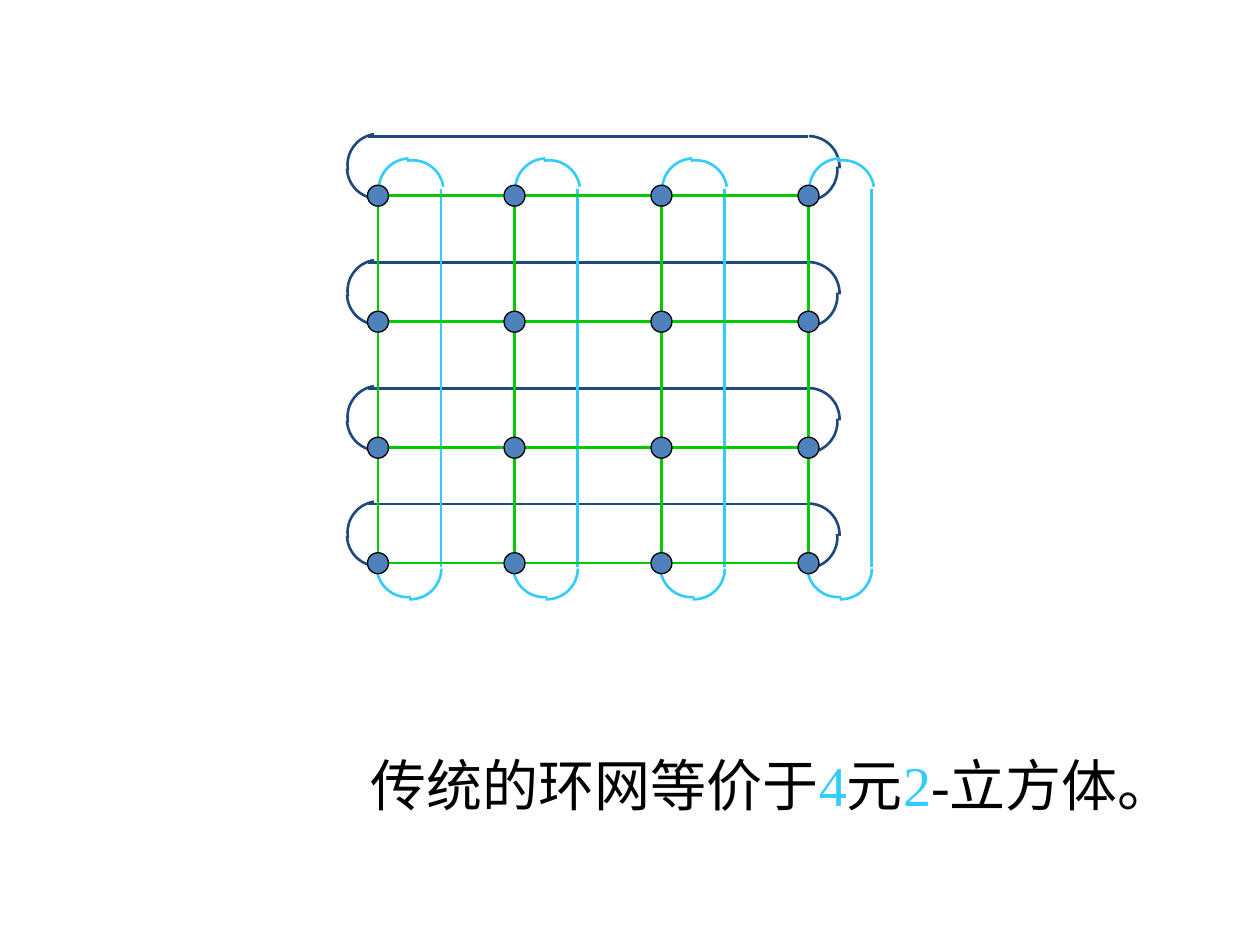
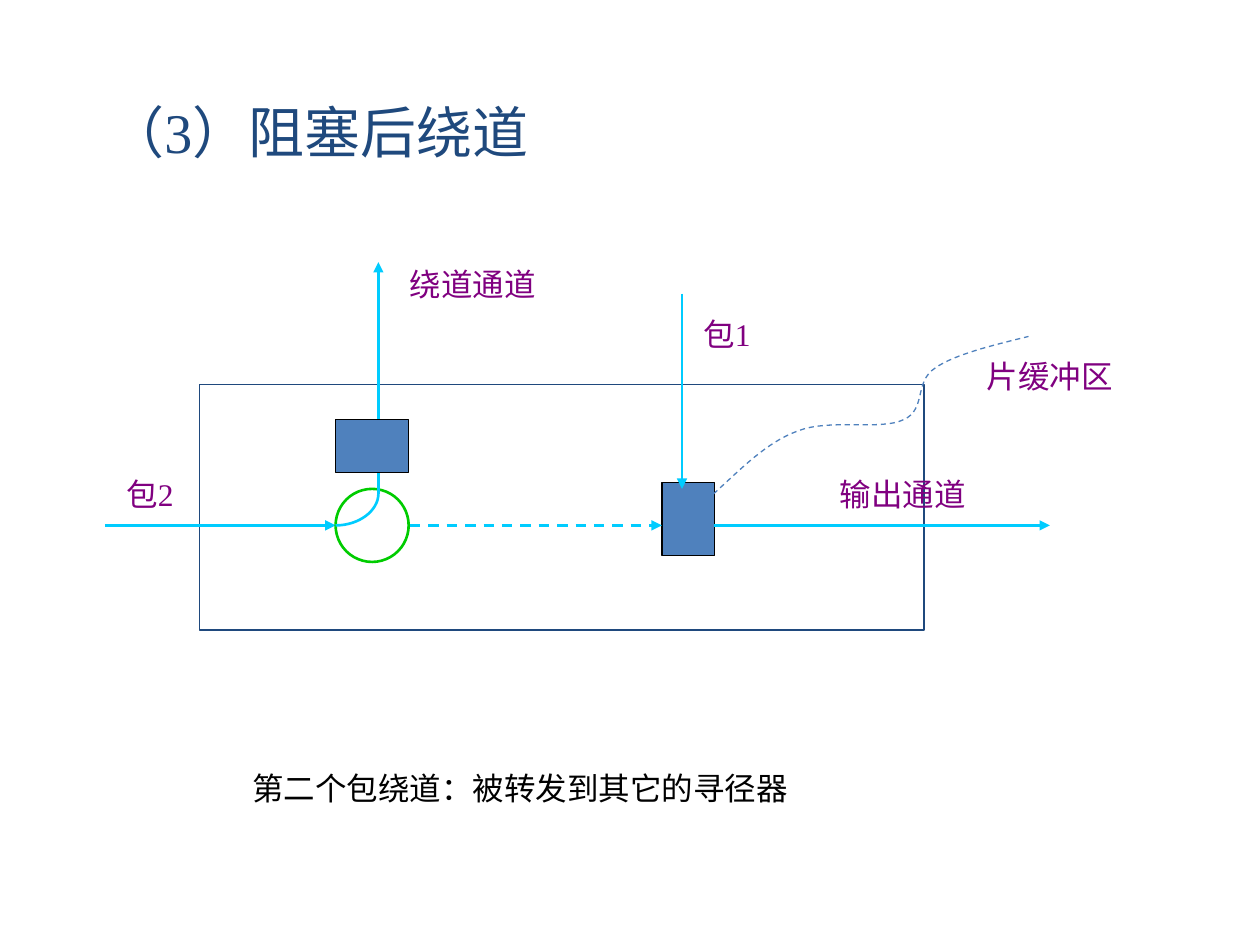
from lxml import etree
from pptx import Presentation
from pptx.dml.color import RGBColor
from pptx.enum.dml import MSO_LINE_DASH_STYLE as Dash
from pptx.enum.shapes import MSO_CONNECTOR as Connector, MSO_SHAPE as Shape
from pptx.enum.text import MSO_ANCHOR as Anchor, MSO_AUTO_SIZE as AutoSize, PP_ALIGN as Align
from pptx.oxml.ns import qn
from pptx.util import Inches, Pt

FONT = "Times New Roman"
NAVY, SKY, CYAN, GREEN = "1F497D", "33CCFF", "00CCFF", "00CC00"
BLUE, PURPLE, BLACK = "4F81BD", "800080", "000000"


def colour(hex_string):
    return RGBColor.from_string(hex_string)


def set_line(line, hex_string, width, dash=None):
    line.color.rgb = colour(hex_string)
    line.width = Pt(width)
    if dash:
        line.dash_style = dash


def write_text(shape, *runs, size=18, color=BLACK, margin=0, indent=0, inset=0):
    """Fill a shape with one paragraph; a run is a text or a (text, colour) pair."""
    frame = shape.text_frame
    frame.word_wrap = True
    frame.auto_size = AutoSize.NONE
    frame.vertical_anchor = Anchor.TOP
    frame.margin_left = frame.margin_right = Inches(inset)
    frame.margin_top = frame.margin_bottom = Inches(inset / 2)
    paragraph = frame.paragraphs[0]
    paragraph.alignment = Align.LEFT
    paragraph.space_before = Pt(0)
    properties = paragraph._p.get_or_add_pPr()
    properties.set("marL", str(Inches(margin)))
    properties.set("indent", str(Inches(indent)))
    etree.SubElement(properties, qn("a:buNone"))
    for item in runs:
        text, run_color = item if isinstance(item, tuple) else (item, color)
        run = paragraph.add_run()
        run.text = text
        run.font.name = FONT
        run.font.size = Pt(size)
        run.font.color.rgb = colour(run_color)


def place(shape, left, top, width, height):
    shape.left, shape.top = Inches(left), Inches(top)
    shape.width, shape.height = Inches(width), Inches(height)


def add_line(slide, start, end, color, dash=None, arrow=False):
    connector = slide.shapes.add_connector(
        Connector.STRAIGHT, *(Inches(value) for value in (*start, *end)))
    set_line(connector.line, color, 1.5, dash)
    etree.SubElement(connector._element.spPr, qn("a:effectLst"))
    if arrow:
        line_end = etree.SubElement(connector.line._get_or_add_ln(), qn("a:tailEnd"))
        line_end.set("type", "triangle")


def add_figure(slide, kind, left, top, width, height, fill=None, color=BLACK, line_width=0.75):
    shape = slide.shapes.add_shape(
        kind, *(Inches(value) for value in (left, top, width, height)))
    shape.shadow.inherit = False
    if fill:
        shape.fill.solid()
        shape.fill.fore_color.rgb = colour(fill)
    else:
        shape.fill.background()
    set_line(shape.line, color, line_width)


def add_curve(slide, start, segments, color, width, dash=None, rotation=0, steps=16):
    """Draw joined cubic curves, each given by two handles and an end point."""
    points = []
    origin = start
    for first, second, end in segments:
        for step in range(1, steps + 1):
            t = step / steps
            weights = ((1 - t) ** 3, 3 * t * (1 - t) ** 2, 3 * t * t * (1 - t), t ** 3)
            points.append(tuple(
                Inches(sum(weight * value for weight, value in zip(weights, axis)))
                for axis in zip(origin, first, second, end)))
        origin = end
    builder = slide.shapes.build_freeform(Inches(start[0]), Inches(start[1]))
    builder.add_line_segments(points, close=False)
    shape = builder.convert_to_shape()
    shape.shadow.inherit = False
    shape.rotation = rotation
    shape.fill.background()
    set_line(shape.line, color, width, dash)


def add_label(slide, text, left, top, width, color=PURPLE):
    box = slide.shapes.add_textbox(Inches(left), Inches(top), Inches(width), Inches(0.4))
    write_text(box, text, color=color)


# Torus: a mesh whose rows and columns close on themselves
def add_torus(slide, left, top):
    columns = [left + offset / 12 for offset in (0, 13, 27, 41)]
    rows = [top + offset / 12 for offset in (0, 12, 24, 35)]
    right, bottom = columns[-1], rows[-1]
    radius, handle, node = 0.25, 0.14, 1 / 6

    def add_quarters(color, quarters):
        for x, y, rotation in quarters:
            curve = ((x + handle, y), (x + radius, y + radius - handle),
                     (x + radius, y + radius))
            add_curve(slide, (x, y), [curve], color, 1.5, rotation=rotation)

    # Wraparound links of the rows
    for y in rows:
        add_quarters(NAVY, [(left - 0.24, y - 0.22, 177.1), (left - 0.26, y - 0.47, 260.6),
                            (right, y - 0.47, 1.4), (right - 0.01, y - 0.22, 84.9)])
        add_line(slide, (left - 0.08, y - 0.47), (right, y - 0.47), NAVY)

    # Wraparound links of the columns
    for x in columns:
        add_quarters(SKY, [(x, top - 0.29, 267.1), (x + 0.25, top - 0.3, 350.6),
                           (x + 0.25, bottom + 0.04, 91.4), (x, bottom + 0.03, 174.9)])
        add_line(slide, (x + 0.5, top - 0.05), (x + 0.5, bottom + 0.03), SKY)

    # Mesh links, then nodes on top
    for x in columns:
        add_line(slide, (x, top), (x, bottom), GREEN)
    for y in rows:
        add_line(slide, (left, y), (right, y), GREEN)
    for y in rows:
        for x in columns:
            add_figure(slide, Shape.OVAL, x - node / 2, y - node / 2, node, node, BLUE)


def build_torus_slide(presentation):
    slide = presentation.slides.add_slide(presentation.slide_layouts[1])
    title, body = slide.placeholders
    title._element.getparent().remove(title._element)
    add_torus(slide, 3, 1.47 + 1 / 12)
    place(body, 0.83, 5.91, 8.25, 0.58)
    write_text(body, "传统的环网等价于", ("4", SKY), "元", ("2", SKY), "-立方体。",
               size=32, margin=0.81, indent=1.2, inset=0.1)


# Router: packet 1 holds the output, packet 2 is sent round
def add_router(slide, left, top):
    def at(x, y):
        return left + x, top + y

    add_figure(slide, Shape.RECTANGLE, left, top, 5.75, 1.95, color=NAVY)
    add_figure(slide, Shape.RECTANGLE, *at(3.67, 0.78), 0.42, 0.58, BLUE)

    # Channels
    add_line(slide, at(1.67, 1.12), at(3.67, 1.12), CYAN, Dash.DASH, arrow=True)
    for start, end in [((-0.75, 1.12), (1.08, 1.12)), ((4.08, 1.12), (6.75, 1.12)),
                       ((3.83, -0.72), (3.83, 0.83))]:
        add_line(slide, at(*start), at(*end), CYAN, arrow=True)

    # Pointer to the flit buffer
    pointer = [((4.3, 0.67), (4.5, 0.46), (4.75, 0.37)),
               ((5, 0.27), (5.41, 0.37), (5.59, 0.28)),
               ((5.77, 0.2), (5.67, -0.02), (5.84, -0.13)),
               ((6, -0.24), (6.3, -0.31), (6.58, -0.38))]
    add_curve(slide, at(4.08, 0.87), [[at(*point) for point in part] for part in pointer],
              BLUE, 0.75, Dash.DASH)

    # Switch and detour
    add_figure(slide, Shape.OVAL, *at(1.08, 0.83), 0.58, 0.58, color=GREEN, line_width=1.5)
    add_curve(slide, at(1.08, 1.12), [(at(1.27, 1.12), at(1.42, 1), at(1.42, 0.87))], CYAN, 1.5)
    add_line(slide, at(1.42, 0.87), at(1.42, -0.97), CYAN, arrow=True)
    add_figure(slide, Shape.RECTANGLE, *at(1.08, 0.28), 0.58, 0.42, BLUE)

    # Labels
    for text, x, y, width in [("包2", -0.58, 0.72, 0.5), ("包1", 4, -0.55, 0.5),
                              ("输出通道", 5.08, 0.72, 1.67), ("片缓冲区", 6.25, -0.22, 1.67),
                              ("绕道通道", 1.67, -0.95, 1.5)]:
        add_label(slide, text, *at(x, y), width)


def build_detour_slide(presentation):
    slide = presentation.slides.add_slide(presentation.slide_layouts[5])
    title = slide.shapes.title
    place(title, 0.17, 0.72, 9.58, 0.59)
    write_text(title, "（3）阻塞后绕道", size=32, color=NAVY, margin=0.59, inset=0.1)
    add_router(slide, 19 / 12, 3.05)
    add_label(slide, "第二个包绕道：被转发到其它的寻径器", 2, 6.1, 6.08, BLACK)


def main():
    presentation = Presentation()
    presentation.slide_width, presentation.slide_height = Inches(10), Inches(7.5)
    build_torus_slide(presentation)
    build_detour_slide(presentation)
    presentation.save("out.pptx")


if __name__ == "__main__":
    main()
